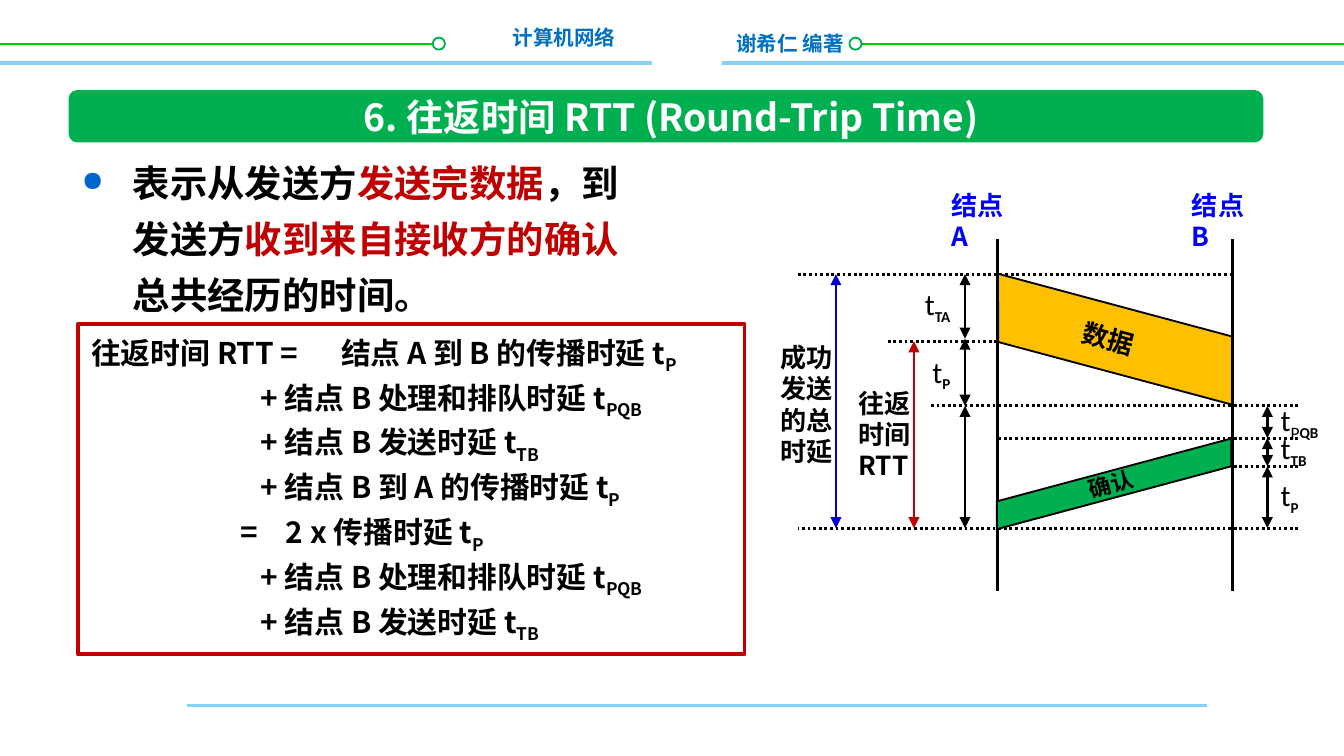
from dataclasses import dataclass

from lxml import etree
from pptx import Presentation
from pptx import util as u
from pptx.dml.color import RGBColor
from pptx.enum import dml, shapes, text
from pptx.oxml.ns import qn


@dataclass(frozen=True)
class Theme:
    cjk: str = "Noto Sans CJK SC"
    latin: str = "Calibri"
    black: str = "000000"
    white: str = "FFFFFF"
    green: str = "00B050"
    lime: str = "00CC00"
    sky: str = "85D1F7"
    header: str = "0070C0"
    bullet: str = "0066CC"
    red: str = "C00000"
    amber: str = "FFC000"
    node: str = "0000FF"
    total: str = "0000CC"
    title_size: int = 20
    formula_size: int = 16
    label_size: int = 14
    ack_size: int = 12
    header_size: int = 11


def rgb(value):
    return RGBColor.from_string(value)


class Board:
    """Draws styled elements on the current slide."""

    def __init__(self, slide, theme):
        self.slide, self.theme = slide, theme

    def line(self, start, end, color=None, width=1.5, dotted=False, arrows=False):
        ends = [u.Inches(v) for v in (*start, *end)]
        rule = self.slide.shapes.add_connector(shapes.MSO_CONNECTOR.STRAIGHT, *ends)
        rule.line.color.rgb = rgb(color or self.theme.black)
        rule.line.width = u.Pt(width)
        if dotted:
            rule.line.dash_style = dml.MSO_LINE.ROUND_DOT
        properties = rule._element.spPr
        if arrows:
            outline = properties.find(qn("a:ln"))
            for tag in ("a:headEnd", "a:tailEnd"):
                etree.SubElement(outline, qn(tag), type="triangle")
        etree.SubElement(properties, qn("a:effectLst"))

    def shape(self, kind, box, fill, border=None, width=1, adjust=None, rotation=0, flip=False):
        part = self.slide.shapes.add_shape(kind, *map(u.Inches, box))
        part.shadow.inherit = False
        part.fill.solid()
        part.fill.fore_color.rgb = rgb(fill)
        if border:
            part.line.color.rgb = rgb(border)
            part.line.width = u.Pt(width)
        else:
            part.line.fill.background()
        if adjust is not None:
            part.adjustments[0] = adjust
        part.rotation = rotation
        if flip:
            part._element.spPr.find(qn("a:xfrm")).set("flipV", "1")
        return part

    def label(self, box, lines, size=None, color=None, align="LEFT", wrap=True, rotation=0):
        holder = self.slide.shapes.add_textbox(*map(u.Inches, box))
        holder.rotation = rotation
        frame = holder.text_frame
        frame.word_wrap = wrap
        frame.text = lines
        for paragraph in frame.paragraphs:
            paragraph.alignment = text.PP_ALIGN[align]
            for run in paragraph.runs:
                self.style(run, size or self.theme.label_size, color)
        return frame

    def delay(self, box, *subscripts, align="LEFT"):
        frame = self.label(box, "t", align=align)
        paragraph = frame.paragraphs[0]
        self.style(paragraph.runs[0], self.theme.formula_size, font=self.theme.latin, bold=False)
        for words, size, bold in subscripts:
            self.add(paragraph, words, size, font=self.theme.latin, bold=bold, sub=True)

    def add(self, paragraph, words, size, color=None, **options):
        run = paragraph.add_run()
        run.text = words
        self.style(run, size, color, **options)

    def style(self, run, size, color=None, font=None, bold=True, sub=False):
        run.font.size, run.font.bold = u.Pt(size), bold
        run.font.color.rgb = rgb(color or self.theme.black)
        run.font.name = font or self.theme.cjk
        properties = run._r.get_or_add_rPr()
        if properties.find(qn("a:ea")) is None:
            etree.SubElement(properties, qn("a:ea"), typeface=self.theme.cjk)
        if sub:
            properties.set("baseline", "-25000")

    def bullet(self, paragraph, indent):
        properties = paragraph._p.get_or_add_pPr()
        properties.set("marL", str(u.Inches(indent)))
        properties.set("indent", str(-u.Inches(indent)))
        color = etree.SubElement(properties, qn("a:buClr"))
        etree.SubElement(color, qn("a:srgbClr"), val=self.theme.bullet)
        etree.SubElement(properties, qn("a:buSzPct"), val="75000")
        etree.SubElement(properties, qn("a:buChar"), char="●")

    def tabs(self, paragraph, stops):
        stop_list = etree.SubElement(paragraph._p.get_or_add_pPr(), qn("a:tabLst"))
        for stop in stops:
            etree.SubElement(stop_list, qn("a:tab"), pos=str(u.Inches(stop)), algn="l")


def draw_header(board):
    t = board.theme
    kinds = shapes.MSO_SHAPE
    for start, end, ring in ((0, 3.24, 3.22), (6.32, 10, 6.32)):
        board.line((start, 0.33), (end, 0.33), t.lime, 1)
        board.shape(kinds.OVAL, (ring, 0.28, 0.09, 0.09), t.white, t.green)
    board.label((5.38, 0.18, 1.16, 0.29), "谢希仁 编著", t.header_size, t.header)
    board.label((3.71, 0.14, 0.97, 0.29), "计算机网络", t.header_size, t.header, "RIGHT", False)
    board.line((1.39, 5.25), (8.98, 5.25), t.sky)
    board.line((0, 0.47), (10, 0.47), t.sky, 2)
    board.shape(kinds.RECTANGLE, (4.85, 0.14, 0.52, 0.51), t.white)
    board.shape(kinds.ROUNDED_RECTANGLE, (0.51, 0.67, 8.89, 0.39), t.green, adjust=0.167)


def draw_definition(board):
    t = board.theme
    definition = board.label((0.51, 1.06, 4.44, 3.47), "").paragraphs[0]
    board.bullet(definition, 0.38)
    definition.line_spacing = u.Pt(30)
    for words, color in (("表示从发送方", t.black), ("发送完数据", t.red), ("，到发送方", t.black),
                         ("收到来自接收方的确认", t.red), ("总共经历的时间。", t.black)):
        board.add(definition, words, t.title_size, color)


def draw_title(board):
    t = board.theme
    title = board.label((1.37, 0.67, 7.25, 0.39), "6. 往返时间 RTT (Round-Trip Time)",
                        t.title_size, t.white, "CENTER")
    title.vertical_anchor = text.MSO_ANCHOR.MIDDLE


def draw_formula(board):
    t = board.theme
    queueing = ("\t+ 结点 B 处理和排队时延 t", "PQB", [1.26])
    sending = ("\t+ 结点 B 发送时延 t", "TB", [1.26])
    terms = (("往返时间 RTT =\t结点 A 到 B 的传播时延 t", "P", [1.86]), queueing, sending,
             ("\t+ 结点 B 到 A 的传播时延 t", "P", [1.26]),
             ("\t=\t2 x 传播时延 t", "P", [1.11, 1.45]), queueing, sending)
    formula = board.shape(shapes.MSO_SHAPE.RECTANGLE, (0.58, 2.41, 4.96, 2.46),
                          t.white, t.red, 2).text_frame
    formula.word_wrap = False
    formula.vertical_anchor = text.MSO_ANCHOR.TOP
    for index, (words, subscript, stops) in enumerate(terms):
        term = formula.add_paragraph() if index else formula.paragraphs[0]
        board.tabs(term, stops)
        term.alignment = text.PP_ALIGN.LEFT
        term.line_spacing = u.Pt(24)
        board.add(term, words, t.formula_size)
        board.add(term, subscript, t.formula_size, sub=True)
    formula.word_wrap = True


def draw_timeline(board):
    t = board.theme
    node_a, node_b, edge = 7.42, 9.17, 9.66
    sent, data_out, data_in, ack_start, ack_out, ack_in = 2.04, 2.54, 3.02, 3.26, 3.47, 3.93
    for start, end, y in ((edge, 6.93, data_in), (edge, node_a, ack_start), (edge, 5.94, ack_in),
                          (edge, node_b, ack_out), (node_b, 5.94, sent), (node_a, 6.59, data_out)):
        board.line((start, y), (end, y), dotted=True)
    for x, name in ((6.98, "结点 A"), (8.77, "结点 B")):
        board.label((x, 1.36, 0.7, 0.34), name, color=t.node)
    slanted = shapes.MSO_SHAPE.PARALLELOGRAM
    board.shape(slanted, (7.33, 2.28, 1.94, 0.49), t.amber, t.black,
                adjust=0.269, rotation=15, flip=True)
    for x in (node_a, node_b):
        board.line((x, 1.78), (x, 4.4))
    board.shape(slanted, (7.36, 3.5, 1.86, 0.2), t.green, t.black, adjust=0.269, rotation=345)
    board.label((7.95, 2.35, 0.59, 0.34), "数据", wrap=False, rotation=15.2)
    board.label((8, 3.45, 0.54, 0.3), "确认", t.ack_size, wrap=False, rotation=344)

    for x, top, bottom, color in ((7.18, sent, 2.52, t.black), (7.18, 2.52, data_in, t.black),
                                  (7.18, data_in, ack_in, t.black), (6.8, data_out, ack_in, t.red),
                                  (9.43, ack_out, ack_in, t.black),
                                  (9.43, data_in, ack_start, t.black),
                                  (9.43, ack_start, ack_out, t.black),
                                  (6.22, sent, ack_in, t.total)):
        board.line((x, top), (x, bottom), color, arrows=True)

    small = t.label_size
    for x, y, subscript, align in ((6.67, 2.08, "TA", "RIGHT"), (6.67, 2.58, "P", "RIGHT"),
                                   (9.43, 3.5, "P", "LEFT"), (9.43, 3.15, "TB", "LEFT")):
        board.delay((x, y, 0.5, 0.37), (subscript, small, True), align=align)
    board.delay((9.43, 2.94, 0.71, 0.37), ("P", t.formula_size, False), ("QB", small, True))
    board.label((6.29, 2.83, 0.59, 0.81), "往返\n时间\nRTT", wrap=False)
    board.label((5.71, 2.49, 0.61, 1.04), "成功发送的总时延")


def main():
    deck = Presentation()
    deck.slide_width = u.Inches(10)
    deck.slide_height = deck.slide_width * 9 // 16
    board = Board(deck.slides.add_slide(deck.slide_layouts[6]), Theme())
    for draw in (draw_header, draw_definition, draw_title, draw_formula, draw_timeline):
        draw(board)
    deck.save("out.pptx")


if __name__ == "__main__":
    main()
